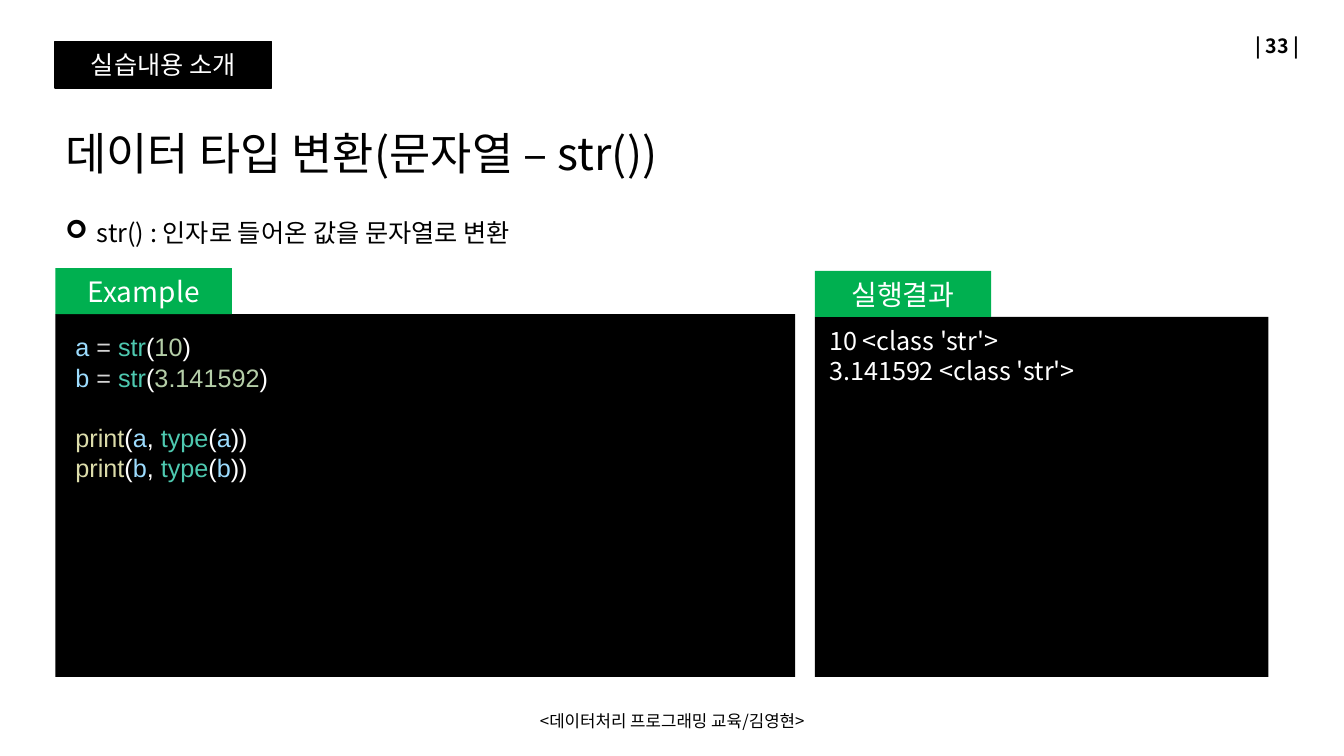
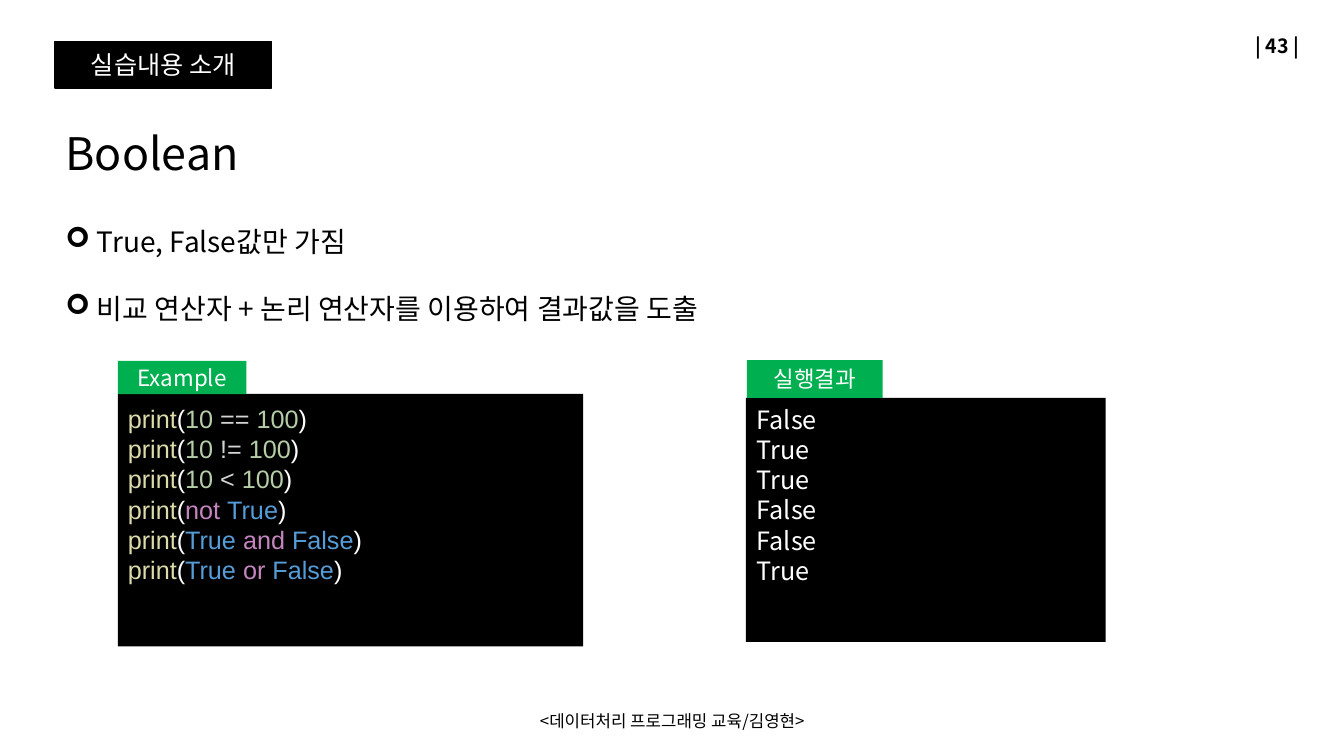
from itertools import groupby

from lxml import etree
from pptx import Presentation
from pptx.dml.color import RGBColor
from pptx.enum import shapes, text
from pptx.oxml import ns
from pptx.util import Pt

BLACK = RGBColor(0x00, 0x00, 0x00)
WHITE = RGBColor(0xFF, 0xFF, 0xFF)
GREEN = RGBColor(0x00, 0xB0, 0x50)

# Syntax colours
VARIABLE = RGBColor(0x9C, 0xDC, 0xFE)
OPERATOR = RGBColor(0xD4, 0xD4, 0xD4)
TYPE = RGBColor(0x4E, 0xC9, 0xB0)
NUMBER = RGBColor(0xB5, 0xCE, 0xA8)
FUNCTION = RGBColor(0xDC, 0xDC, 0xAA)
KEYWORD = RGBColor(0xC5, 0x86, 0xC0)
CONSTANT = RGBColor(0x56, 0x9C, 0xD6)
SYNTAX = {
    "a": VARIABLE, "b": VARIABLE, "str": TYPE, "type": TYPE, "print": FUNCTION,
    "not": KEYWORD, "and": KEYWORD, "or": KEYWORD, "True": CONSTANT, "False": CONSTANT,
    "=": OPERATOR, "==": OPERATOR, "!=": OPERATOR, "<": OPERATOR,
}

BODY_FONT = "Noto Sans CJK KR"
CODE_FONT = "Arial"
LEFT, CENTER, RIGHT = text.PP_ALIGN.LEFT, text.PP_ALIGN.CENTER, text.PP_ALIGN.RIGHT
TOP, MIDDLE, BOTTOM = text.MSO_ANCHOR.TOP, text.MSO_ANCHOR.MIDDLE, text.MSO_ANCHOR.BOTTOM


def char_kind(char):
    return "word" if char.isalnum() or char == "." else "space" if char == " " else "sign"


def code_tokens(line):
    """Split a line of code into (text, colour) pairs."""
    for _, chars in groupby(line, char_kind):
        token = "".join(chars)
        colour = NUMBER if token[0].isdigit() else SYNTAX.get(token, WHITE)
        yield token, colour


class Deck:
    """House style and the slide being built; all lengths are points."""

    def __init__(self):
        self.prs = Presentation()
        self.prs.slide_width, self.prs.slide_height = Pt(960), Pt(540)
        self.slide = None

    def start_slide(self, number, title):
        self.slide = self.prs.slides.add_slide(self.prs.slide_layouts[5])
        heading = self.slide.shapes.title
        heading.left, heading.top, heading.width, heading.height = map(Pt, (39.6, 80.6, 700.6, 51.1))
        self.fill_text(heading, [title], 32, anchor=BOTTOM)
        self.label(f"| {number} |", (719.3, 18, 216, 28.8), 14, RIGHT, bold=True)
        self.bar((39.2, 29.7, 154.8, 33.1), BLACK, "실습내용 소개", 18, outlined=True)
        self.label("<데이터처리 프로그래밍 교육/김영현>", (318.2, 500.4, 324, 28.8), 12, CENTER)

    def fill_text(self, shape, lines, size, colour=BLACK, align=LEFT, anchor=TOP, bold=False):
        """Put one paragraph per line into a shape."""
        frame = shape.text_frame
        settings = {"word_wrap": True, "auto_size": text.MSO_AUTO_SIZE.NONE,
                    "vertical_anchor": anchor}
        for name, value in settings.items():
            setattr(frame, name, value)
        for index, line in enumerate(lines):
            paragraph = frame.paragraphs[0] if index == 0 else frame.add_paragraph()
            paragraph.alignment = align
            self.add_run(paragraph, line, size, colour, bold=bold)
        return frame

    def add_run(self, paragraph, content, size, colour, face=BODY_FONT, bold=False):
        run = paragraph.add_run()
        run.text = content
        for name, value in {"name": face, "size": Pt(size), "bold": bold}.items():
            setattr(run.font, name, value)
        run.font.color.rgb = colour
        east_asian = etree.SubElement(run._r.get_or_add_rPr(), ns.qn("a:ea"))
        east_asian.set("typeface", face)

    def text_box(self, box):
        return self.slide.shapes.add_textbox(*map(Pt, box))

    def label(self, content, box, size, align, bold=False):
        self.fill_text(self.text_box(box), [content], size, align=align, anchor=MIDDLE, bold=bold)

    def bar(self, box, fill, caption=None, size=18, outlined=False):
        bar = self.slide.shapes.add_shape(shapes.MSO_SHAPE.RECTANGLE, *map(Pt, box))
        bar.shadow.inherit = False
        bar.fill.solid()
        bar.fill.fore_color.rgb = fill
        if outlined:
            bar.line.color.rgb = fill
            bar.line.width = Pt(1)
        else:
            bar.line.fill.background()
        if caption:
            self.fill_text(bar, [caption], size, WHITE, CENTER, MIDDLE)

    def panel(self, caption, tab, body, size):
        """Black panel with a green tab on top."""
        self.bar(body, BLACK)
        self.bar(tab, GREEN, caption, size)

    def bullets(self, lines, box, size):
        frame = self.fill_text(self.text_box(box), lines, size)
        for paragraph in frame.paragraphs:
            paragraph.line_spacing = 2.0
            props = paragraph._p.get_or_add_pPr()
            props.set("marL", str(Pt(22.5)))
            props.set("indent", str(-Pt(22.5)))
            font = etree.SubElement(props, ns.qn("a:buFont"))
            font.set("typeface", "Wingdings")
            mark = etree.SubElement(props, ns.qn("a:buChar"))
            mark.set("char", "➢")

    def output(self, lines, box):
        self.fill_text(self.text_box(box), lines, 18, WHITE)

    def code(self, blocks, box):
        """Coloured code; blocks are set one line apart."""
        frame = self.fill_text(self.text_box(box), [], 18)
        paragraph = None
        for block in blocks:
            for index, line in enumerate(block):
                first = paragraph is None
                paragraph = frame.paragraphs[0] if first else frame.add_paragraph()
                if index == 0 and not first:
                    paragraph.space_before = Pt(21.6)
                for token, colour in code_tokens(line):
                    self.add_run(paragraph, token, 18, colour, CODE_FONT)


def main():
    deck = Deck()

    # String conversion
    deck.start_slide(33, "데이터 타입 변환(문자열 – str())")
    deck.panel("Example", (39.6, 191.6, 126, 32.8), (39.6, 224.4, 528.5, 259.2), 20)
    deck.panel("실행결과", (582, 193.5, 126, 32.8), (582, 226.3, 324, 257.3), 20)
    deck.output(["10 <class 'str'>", "3.141592 <class 'str'>"], (585.2, 228.5, 268, 51))
    deck.code([["a = str(10)", "b = str(3.141592)"],
               ["print(a, type(a))", "print(b, type(b))"]], (46.8, 233.4, 480, 116.6))
    deck.bullets(["str() : 인자로 들어온 값을 문자열로 변환"], (39.6, 130.3, 480, 45.4), 18)

    # Boolean values
    deck.start_slide(43, "Boolean")
    deck.bullets(["True, False값만 가짐",
                  "비교 연산자 + 논리 연산자를 이용하여 결과값을 도출"],
                 (39.6, 132.5, 712.8, 98), 20)
    deck.panel("Example", (84.2, 257.8, 91.8, 23.8), (84.2, 281.4, 332.3, 180.4), 16)
    deck.panel("실행결과", (533.5, 257.2, 97, 27), (532.8, 284.2, 257, 174.4), 16)
    deck.output(["False", "True", "True", "False", "False", "True"], (533.5, 285, 237.6, 138.2))
    deck.code([["print(10 == 100)", "print(10 != 100)", "print(10 < 100)",
                "print(not True)", "print(True and False)", "print(True or False)"]],
              (84.2, 284.4, 293.8, 138.2))

    deck.prs.save("out.pptx")


if __name__ == "__main__":
    main()
